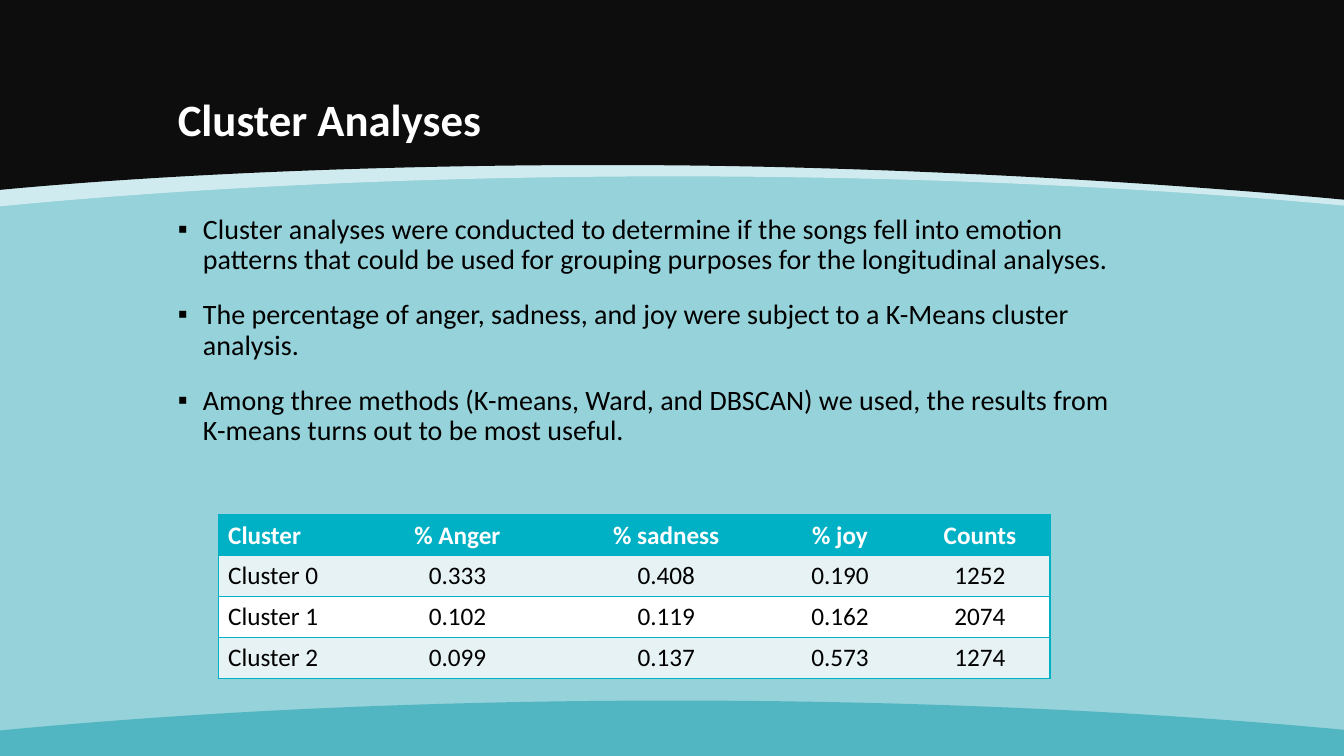
import dataclasses

import lxml.etree
import pptx
import pptx.dml.color
import pptx.enum.text
import pptx.oxml.ns
import pptx.util

Pt = pptx.util.Pt
RGB = pptx.dml.color.RGBColor.from_string
qn = pptx.oxml.ns.qn
ALIGN = pptx.enum.text.PP_ALIGN
ANCHOR = pptx.enum.text.MSO_ANCHOR

WIDTH, HEIGHT = 960, 540


@dataclasses.dataclass(frozen=True)
class Theme:
    font: str = "Calibri"
    title_size: int = 32
    body_size: int = 20
    table_size: int = 18
    background: str = "96D2DA"
    header_band: str = "0D0D0D"
    header_edge: str = "EAF6F8"
    footer_band: str = "52B5C2"
    accent: str = "00B1C5"
    row_fills: tuple = ("E7F2F5", "FFFFFF")
    light: str = "FFFFFF"
    dark: str = "000000"


class SlideBuilder:
    def __init__(self, prs, theme):
        self.theme = theme
        self.s = prs.slides.add_slide(prs.slide_layouts[1])
        fill = self.s.background.fill
        fill.solid()
        fill.fore_color.rgb = RGB(theme.background)

    def format_runs(self, p, size, color, bold=False):
        for r in p.runs:
            r.font.name = self.theme.font
            r.font.size = Pt(size)
            r.font.bold = bold
            r.font.color.rgb = RGB(color)

    def bend(self, sp, segments):
        """Turn the straight sides that stand for curves into cubic curves."""
        sides = list(sp.element.iter(qn("a:lnTo")))
        for side, segment in zip(sides, segments):
            if len(segment) == 6:
                side.addprevious(curve := lxml.etree.Element(qn("a:cubicBezTo")))
                for x, y in zip(segment[0:4:2], segment[1:4:2]):
                    lxml.etree.SubElement(curve, qn("a:pt"), x=str(Pt(x) - sp.left),
                                          y=str(Pt(y) - sp.top))
                curve.append(side[0])
                side.getparent().remove(side)

    def band(self, start, segments, color, opacity=100):
        """Outline behind the text; a segment is a line (x, y) or a cubic curve."""
        builder = self.s.shapes.build_freeform(Pt(start[0]), Pt(start[1]))
        builder.add_line_segments([(Pt(x), Pt(y)) for *_, x, y in segments], close=True)
        sp = builder.convert_to_shape()
        self.bend(sp, segments)
        sp.shadow.inherit = False
        sp.fill.solid()
        sp.fill.fore_color.rgb = RGB(color)
        sp.line.fill.background()
        if opacity < 100:
            clr = next(sp.element.iter(qn("a:srgbClr")))
            lxml.etree.SubElement(clr, qn("a:alpha"), val=str(opacity * 1000))
        self.s.shapes.title.element.addprevious(sp.element)

    def place(self, sp, left, top, width, height, anchor):
        sp.left, sp.top, sp.width, sp.height = map(Pt, (left, top, width, height))
        tf = sp.text_frame
        tf.word_wrap = True
        tf.auto_size = pptx.enum.text.MSO_AUTO_SIZE.NONE
        tf.vertical_anchor = anchor
        return tf

    def title(self, text, *box):
        tf = self.place(self.s.shapes.title, *box, ANCHOR.BOTTOM)
        tf.text = text
        p = tf.paragraphs[0]
        p.alignment = ALIGN.LEFT
        p.line_spacing = 0.9
        self.format_runs(p, self.theme.title_size, self.theme.light, bold=True)

    def bullets(self, items, *box):
        tf = self.place(self.s.placeholders[1], *box, ANCHOR.TOP)
        tf.text = "\n".join(items)
        for i, p in enumerate(tf.paragraphs):
            pPr = p._p.get_or_add_pPr()
            pPr.set("marL", str(Pt(18)))
            pPr.set("indent", str(Pt(-18)))
            lxml.etree.SubElement(pPr, qn("a:buChar"), char="▪")
            p.line_spacing = 0.9
            p.space_before = Pt(18 if i else 0)
            self.format_runs(p, self.theme.body_size, self.theme.dark)

    def borders(self, cell, sides):
        """Draw the given sides (of L, R, T, B) and clear the others."""
        tcPr = cell._tc.get_or_add_tcPr()
        for side in "LRTB":
            ln = lxml.etree.SubElement(tcPr, qn("a:ln" + side), w=str(Pt(1)))
            if side in sides:
                fill = lxml.etree.SubElement(ln, qn("a:solidFill"))
                lxml.etree.SubElement(fill, qn("a:srgbClr"), val=self.theme.accent)
            else:
                lxml.etree.SubElement(ln, qn("a:noFill"))

    def table(self, rows, left, top, col_widths, row_height):
        theme = self.theme
        table = self.s.shapes.add_table(
            len(rows), len(col_widths), Pt(left), Pt(top),
            Pt(sum(col_widths)), Pt(row_height * len(rows))).table
        for column, width in zip(table.columns, col_widths):
            column.width = Pt(width)
        last = len(col_widths) - 1
        for i, row in enumerate(rows):
            table.rows[i].height = Pt(row_height)
            header = i == 0
            for j, text in enumerate(row):
                cell = table.cell(i, j)
                self.borders(cell, "TB" + "L" * (j == 0) + "R" * (j == last))
                cell.fill.solid()
                cell.fill.fore_color.rgb = RGB(
                    theme.accent if header else theme.row_fills[(i - 1) % 2])
                cell.vertical_anchor = ANCHOR.MIDDLE
                cell.text_frame.text = text
                p = cell.text_frame.paragraphs[0]
                p.alignment = ALIGN.CENTER if j else ALIGN.LEFT
                self.format_runs(p, theme.table_size,
                                 theme.light if header else theme.dark, bold=header)


def main():
    prs = pptx.Presentation()
    prs.slide_width, prs.slide_height = Pt(WIDTH), Pt(HEIGHT)
    theme = Theme()
    slide = SlideBuilder(prs, theme)

    slide.band((0, 0), [(WIDTH, 0), (WIDTH, 146.9),
                        (820.8, 133.9, 656.6, 126, 481, 126),
                        (304.6, 126, 139.7, 133.9, 0, 147.4), (0, 0)],
               theme.header_edge, opacity=70)
    slide.band((0, 0), [(WIDTH, 0), (WIDTH, 142.6),
                        (820.8, 129.6, 640.1, 119.5, 481, 118.1),
                        (320.4, 116.6, 139.7, 122.4, 0, 135.6), (0, 0)],
               theme.header_band)
    slide.band((481, 500.4), [(656.6, 500.4, 820.8, 508.3, WIDTH, 521.3),
                              (WIDTH, HEIGHT), (0, HEIGHT), (0, 521.8),
                              (139.7, 508.3, 304.6, 500.4, 481, 500.4)],
               theme.footer_band)

    slide.title("Cluster Analyses", 119.8, 21.6, 720, 86.4)
    slide.bullets([
        "Cluster analyses were conducted to determine if the songs fell into emotion "
        "patterns that could be used for grouping purposes for the longitudinal analyses.",
        "The percentage of anger, sadness, and joy were subject to a K-Means cluster analysis.",
        "Among three methods (K-means, Ward, and DBSCAN) we used, the results from "
        "K-means turns out to be most useful.",
    ], 119.8, 150, 689.8, 336)
    slide.table([
        ("Cluster", "% Anger", "% sadness", "% joy", "Counts"),
        ("Cluster 0", "0.333", "0.408", "0.190", "1252"),
        ("Cluster 1", "0.102", "0.119", "0.162", "2074"),
        ("Cluster 2", "0.099", "0.137", "0.573", "1274"),
    ], 155.8, 367.8, (96, 150, 148.3, 100, 100), 29.2)

    prs.save("out.pptx")


if __name__ == "__main__":
    main()
